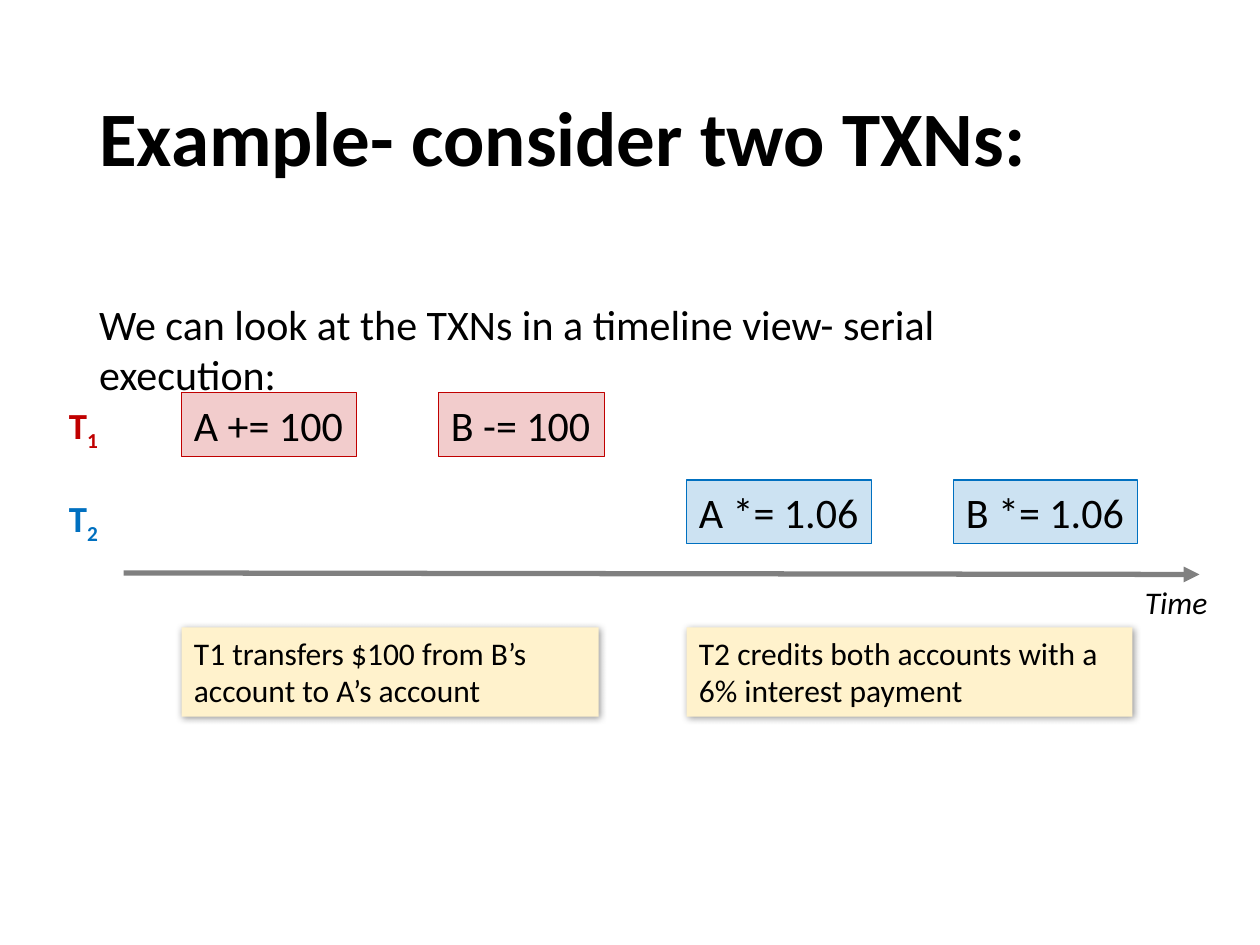
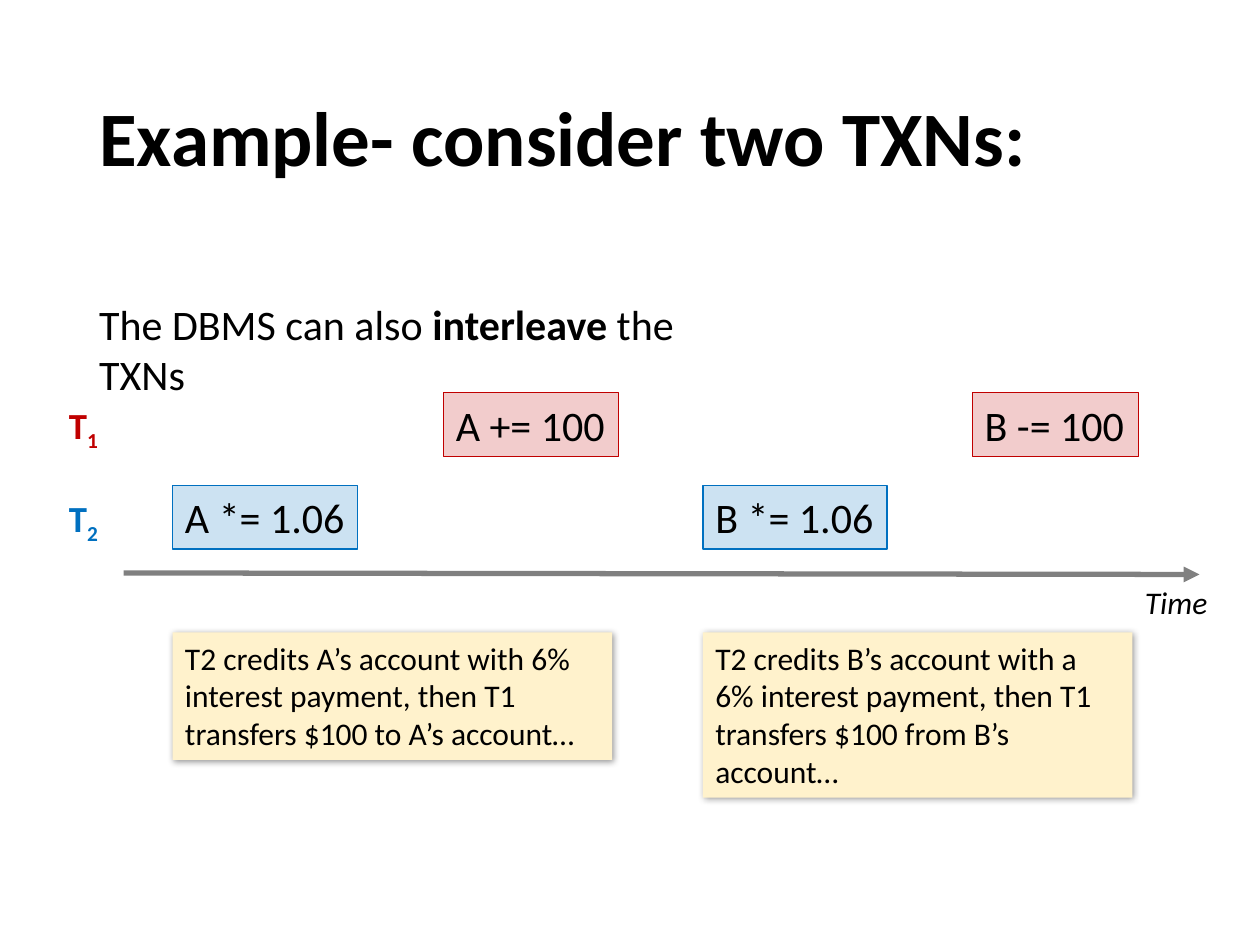
"""Build two slides that compare serial and interleaved transaction timelines."""
from lxml import etree
from pptx import Presentation
from pptx.dml.color import RGBColor
from pptx.enum.shapes import MSO_CONNECTOR, MSO_SHAPE
from pptx.enum.text import MSO_ANCHOR, PP_ALIGN
from pptx.oxml.ns import qn
from pptx.util import Cm, Pt

RECTANGLE = MSO_SHAPE.RECTANGLE
STRAIGHT = MSO_CONNECTOR.STRAIGHT
LEFT = PP_ALIGN.LEFT
TOP, MIDDLE = MSO_ANCHOR.TOP, MSO_ANCHOR.MIDDLE

BLACK = RGBColor(0x00, 0x00, 0x00)
RED = RGBColor(0xC0, 0x00, 0x00)
BLUE = RGBColor(0x00, 0x70, 0xC0)
GREY = RGBColor(0x80, 0x80, 0x80)
CREAM = RGBColor(0xFF, 0xF2, 0xCC)
FONT = "Calibri"

TITLE = "Example- consider two TXNs:"
OPERATIONS = [
    ("A += 100", RED, 3.53),
    ("B -= 100", RED, 3.35),
    ("A *= 1.06", BLUE, 3.73),
    ("B *= 1.06", BLUE, 3.71),
]
LABELS = [("1", RED, 8.0), ("2", BLUE, 9.86)]
RED_TOP = 7.92

SLIDES = [
    {
        "intro": [("We can look at the TXNs in a timeline view- serial execution:", False)],
        "intro_width": 20.95,
        "operation_lefts": [3.66, 8.84, 13.84, 19.22],
        "blue_top": 9.68,
        "note_top": 12.65,
        "notes": [
            ("T1 transfers $100 from B’s account to A’s account", 3.66, 8.41, 1.8),
            ("T2 credits both accounts with a 6% interest payment", 13.84, 8.99, 1.8),
        ],
    },
    {
        "intro": [("The DBMS can also ", False), ("interleave", True), (" the TXNs", False)],
        "intro_width": 13.87,
        "operation_lefts": [8.94, 19.6, 3.48, 14.17],
        "blue_top": 9.79,
        "note_top": 12.75,
        "notes": [
            ("T2 credits A’s account with 6% interest payment, then T1 "
             "transfers $100 to A’s account…", 3.48, 8.86, 2.57),
            ("T2 credits B’s account with a 6% interest payment, then T1 "
             "transfers $100 from B’s account…", 14.17, 8.66, 3.33),
        ],
    },
]


def write(shape, text, size=24, color=BLACK, bold=False, italic=False,
          wrap=True, anchor=TOP, subscript=False):
    """Append one formatted span to the first paragraph of a shape."""
    frame = shape.text_frame
    frame.word_wrap = wrap
    frame.vertical_anchor = anchor
    para = frame.paragraphs[0]
    para.alignment = LEFT
    span = para.add_run()
    span.text = text
    span.font.name = FONT
    span.font.size = Pt(size)
    span.font.color.rgb = color
    span.font.bold = bold
    span.font.italic = italic
    if subscript:
        span.font._element.set("baseline", "-25000")


def add_box(page, left, top, width, height, color):
    """Add a filled rectangle without line or shadow."""
    box = page.shapes.add_shape(RECTANGLE, Cm(left), Cm(top), Cm(width), Cm(height))
    box.shadow.inherit = False
    box.fill.solid()
    box.fill.fore_color.rgb = color
    box.line.fill.background()
    return box


deck = Presentation()
deck.slide_width, deck.slide_height = Cm(25.4), Cm(19.05)

for content in SLIDES:
    page = deck.slides.add_slide(deck.slide_layouts[5])

    title = page.shapes.title
    title.left, title.top, title.width, title.height = Cm(1.75), Cm(1.02), Cm(21.9), Cm(3.68)
    write(title, TITLE, size=44, bold=True, anchor=MIDDLE)
    title.text_frame.paragraphs[0].line_spacing = 0.9

    for text, left, width, height in content["notes"]:
        note = add_box(page, left, content["note_top"], width, height, CREAM)
        effects = note._element.spPr.find(qn("a:effectLst"))
        shadow = etree.SubElement(effects, qn("a:outerShdw"), blurRad="50800", dist="12700",
                                  dir="2700000", algn="tl", rotWithShape="0")
        shade = etree.SubElement(shadow, qn("a:srgbClr"), val=str(BLACK))
        etree.SubElement(shade, qn("a:alpha"), val="40000")
        write(note, text, size=18)

    axis = page.shapes.add_connector(STRAIGHT, Cm(2.49), Cm(11.55), Cm(24.18), Cm(11.58))
    axis.line.color.rgb = GREY
    axis.line.width = Pt(3)
    etree.SubElement(axis.line._get_or_add_ln(), qn("a:tailEnd"), type="triangle")
    etree.SubElement(axis._element.spPr, qn("a:effectLst"))

    for number, color, top in LABELS:
        label = page.shapes.add_textbox(Cm(1.14), Cm(top), Cm(1.12), Cm(1.14))
        write(label, "T", size=21, color=color, bold=True, wrap=False)
        write(label, number, size=21, color=color, bold=True, wrap=False, subscript=True)

    for (text, color, width), left in zip(OPERATIONS, content["operation_lefts"]):
        top = RED_TOP if color == RED else content["blue_top"]
        operation = add_box(page, left, top, width, 1.28, color)
        tint = operation._element.spPr.find(qn("a:solidFill"))[0]
        etree.SubElement(tint, qn("a:alpha"), val="20000")
        operation.line.color.rgb = color
        operation.line.width = Pt(0.75)
        write(operation, text, wrap=False)

    time = page.shapes.add_textbox(Cm(22.83), Cm(11.63), Cm(1.78), Cm(1.02))
    write(time, "Time", size=18, italic=True, wrap=False)

    intro = page.shapes.add_textbox(Cm(1.75), Cm(5.89), Cm(content["intro_width"]), Cm(1.28))
    for text, bold in content["intro"]:
        write(intro, text, bold=bold)

deck.save("out.pptx")
